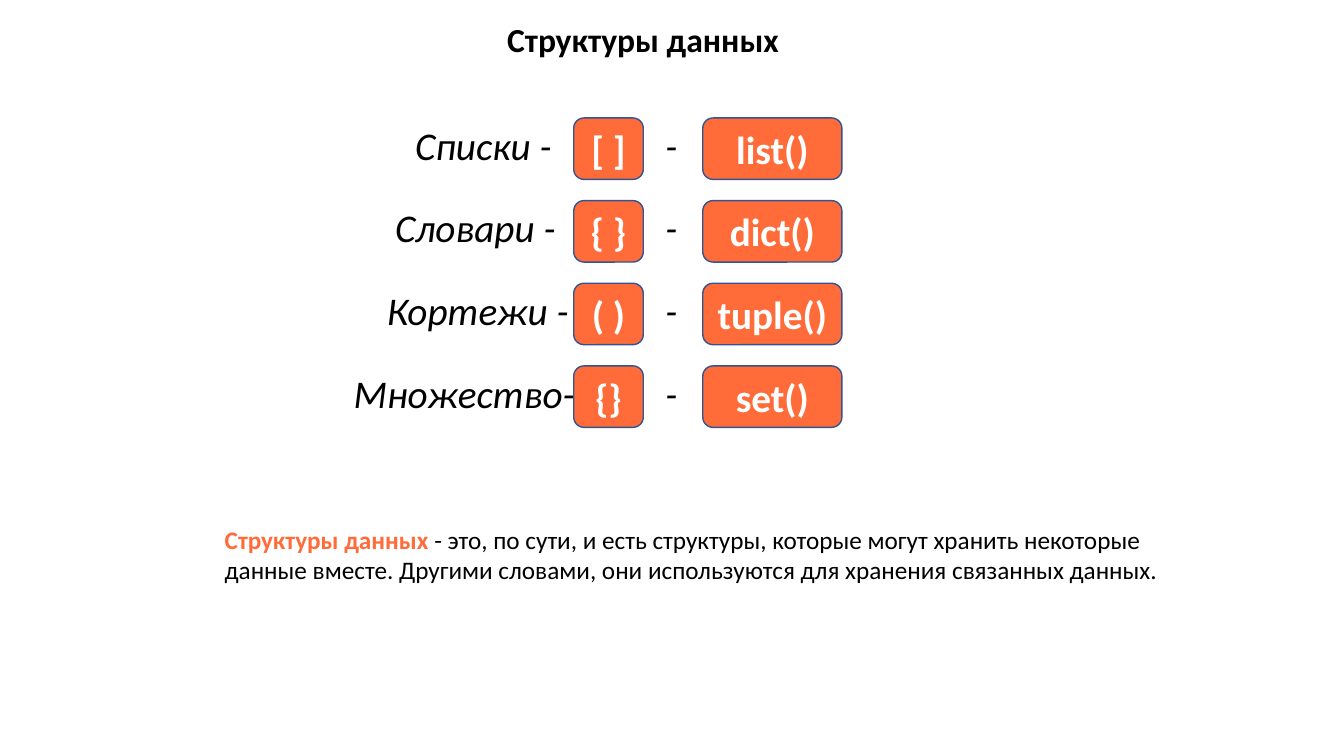
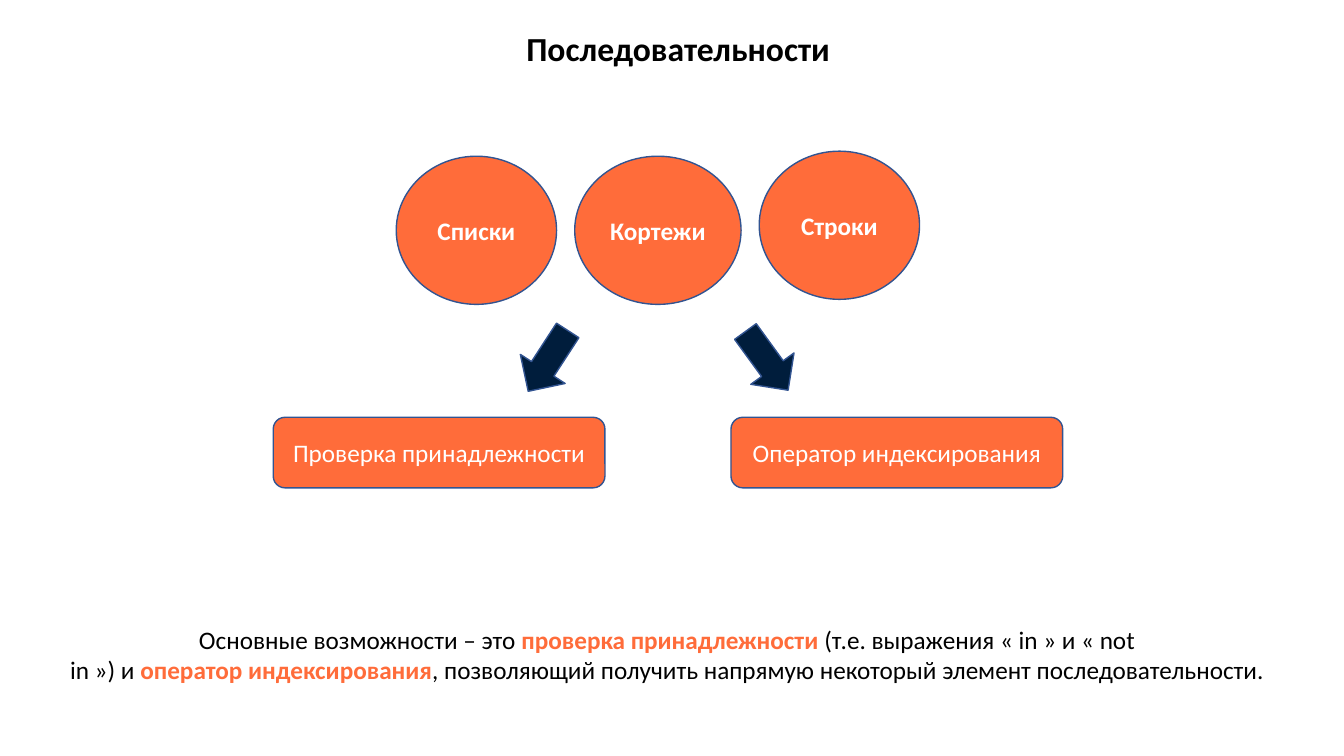
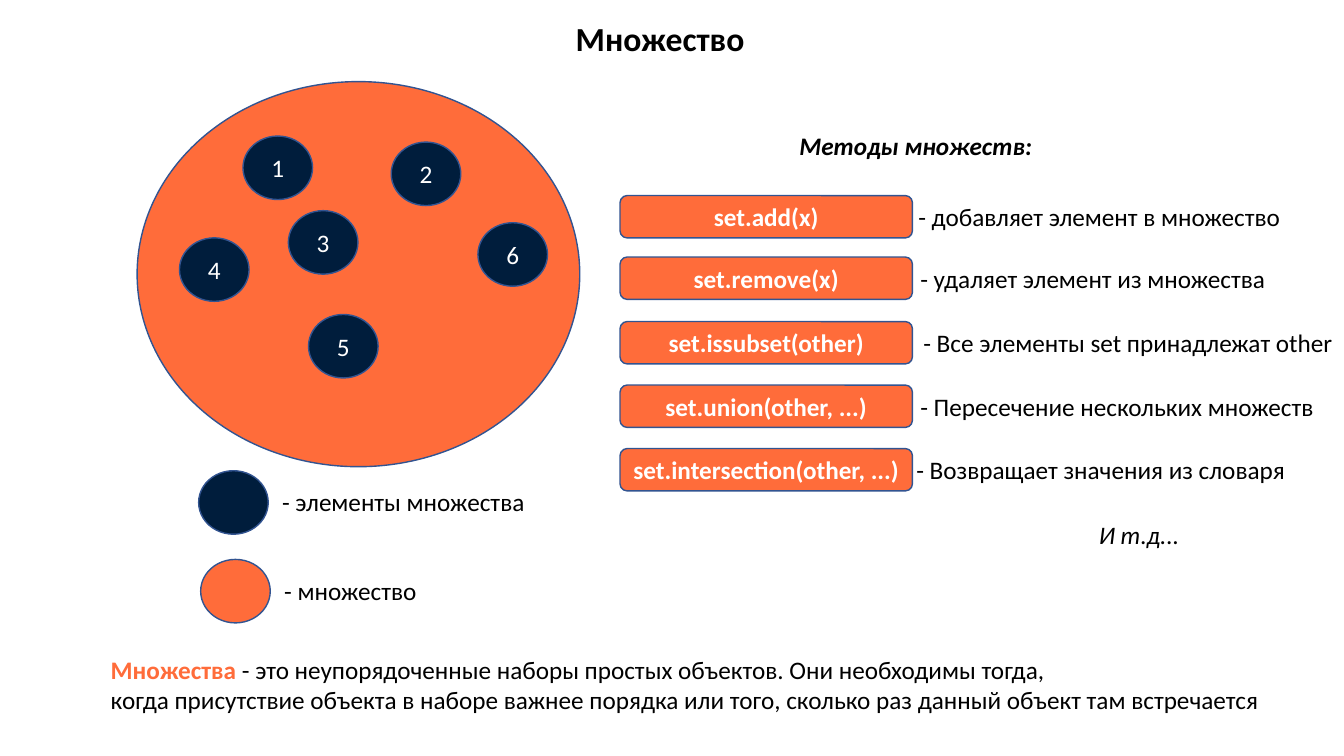
from dataclasses import dataclass

from pptx import Presentation
from pptx.dml.color import RGBColor
from pptx.enum.shapes import MSO_SHAPE as Preset
from pptx.enum.text import MSO_ANCHOR as Anchor, MSO_AUTO_SIZE as AutoSize, PP_ALIGN as Align
from pptx.util import Emu, Pt

EMU_PER_PX = 9144


@dataclass(frozen=True)
class Theme:
    font: str = "Calibri"
    orange: RGBColor = RGBColor(0xFF, 0x6C, 0x3A)
    navy: RGBColor = RGBColor(0x00, 0x1D, 0x3C)
    outline: RGBColor = RGBColor(0x32, 0x54, 0x91)
    ink: RGBColor = RGBColor(0, 0, 0)
    white: RGBColor = RGBColor(0xFF, 0xFF, 0xFF)
    title_size: int = 24
    large_size: int = 28
    body_size: int = 18


THEME = Theme()


def px(value):
    return Emu(value * EMU_PER_PX)


def place(shape, left, top, width, height):
    shape.left, shape.top, shape.width, shape.height = map(px, (left, top, width, height))


def set_font(font, size, color, bold=False, italic=False):
    font.name = THEME.font
    font.size = Pt(size)
    font.color.rgb = color
    font.bold = bold
    font.italic = italic


def add_titled_slide(presentation, text, left, top):
    slide = presentation.slides.add_slide(presentation.slide_layouts[5])
    title = slide.shapes.title
    place(title, left, top, 364, 50)
    frame = title.text_frame
    frame.text = text
    frame.auto_size = AutoSize.NONE
    frame.vertical_anchor = Anchor.TOP
    paragraph = frame.paragraphs[0]
    paragraph.alignment = Align.LEFT
    set_font(paragraph.font, THEME.title_size, THEME.ink, bold=True)
    return slide


def add_text_frame(slide, box):
    frame = slide.shapes.add_textbox(*map(px, box)).text_frame
    frame.word_wrap = True
    return frame


def add_label(slide, text, box, size=THEME.body_size, bold=False, italic=False):
    frame = add_text_frame(slide, box)
    frame.text = text
    set_font(frame.paragraphs[0].font, size, THEME.ink, bold, italic)


def add_definition(slide, box, lines, alignment=Align.LEFT):
    frame = add_text_frame(slide, box)
    for index, line in enumerate(lines):
        paragraph = frame.add_paragraph() if index else frame.paragraphs[0]
        paragraph.alignment = alignment
        for text, is_term in line:
            run = paragraph.add_run()
            run.text = text
            set_font(run.font, THEME.body_size, THEME.orange if is_term else THEME.ink, bold=is_term)


def add_figure(slide, preset, box, text="", fill=THEME.orange, size=THEME.body_size, bold=False):
    shape = slide.shapes.add_shape(preset, *map(px, box))
    shape.shadow.inherit = False
    shape.fill.solid()
    shape.fill.fore_color.rgb = fill
    shape.line.color.rgb = THEME.outline
    shape.line.width = Pt(1)
    if text:
        frame = shape.text_frame
        frame.text = text
        frame.word_wrap = True
        frame.margin_left = frame.margin_right = 0
        frame.vertical_anchor = Anchor.MIDDLE
        paragraph = frame.paragraphs[0]
        paragraph.alignment = Align.CENTER
        set_font(paragraph.font, size, THEME.white, bold)
    return shape


def build_structures(presentation):
    slide = add_titled_slide(presentation, "Структуры данных", 493, 14)
    rows = [
        ("Списки -", 402, "[ ]", "list()"),
        ("Словари -", 382, "{ }", "dict()"),
        ("Кортежи -", 374, "( )", "tuple()"),
        ("Множество-", 341, "{}", "set()"),
    ]
    for index, (name, left, brackets, constructor) in enumerate(rows):
        top = 117 + 82 * index
        add_label(slide, name, (left, top - 2, 243, 57), THEME.large_size, italic=True)
        add_label(slide, "-", (650, top - 2, 36, 57), THEME.large_size, italic=True)
        for box, text in (((569, top, 69, 61), brackets), ((697, top, 138, 61), constructor)):
            add_figure(slide, Preset.ROUNDED_RECTANGLE, box, text, size=THEME.large_size, bold=True)
    add_definition(slide, (213, 515, 985, 71), [[
        ("Структуры данных ", True),
        ("- это, по сути, и есть структуры, которые могут хранить некоторые данные вместе. "
         "Другими словами, они используются для хранения связанных данных.", False),
    ]])


def build_sequences(presentation):
    slide = add_titled_slide(presentation, "Последовательности", 512, 23)
    add_definition(slide, (44, 614, 1235, 71), [
        [("Основные возможности – это ", False),
         ("проверка принадлежности ", True),
         ("(т.е. выражения « in » и « not", False)],
        [("in ») и ", False),
         ("оператор индексирования", True),
         (", позволяющий получить напрямую некоторый элемент последовательности.", False)],
    ], Align.CENTER)
    sequences = [("Cписки", 393, 155, 159), ("Кортежи", 570, 155, 165), ("Строки", 753, 150, 159)]
    for text, left, top, width in sequences:
        add_figure(slide, Preset.OVAL, (left, top, width, 147), text, bold=True)
    features = [("Проверка принадлежности", 271, 517, 33), ("Оператор индексирования", 725, 734, 324)]
    for text, left, arrow_left, rotation in features:
        arrow = add_figure(slide, Preset.DOWN_ARROW, (arrow_left, 322, 53, 72), fill=THEME.navy)
        arrow.rotation = rotation
        add_figure(slide, Preset.ROUNDED_RECTANGLE, (left, 414, 329, 70), text)


def build_set(presentation):
    slide = add_titled_slide(presentation, "Множество", 561, 13)
    add_definition(slide, (100, 644, 1164, 71), [
        [("Множества ", True),
         ("- это неупорядоченные наборы простых объектов. Они необходимы тогда,", False)],
        [("когда присутствие объекта в наборе важнее порядка или того, "
          "сколько раз данный объект там встречается", False)],
    ])
    add_figure(slide, Preset.OVAL, (136, 81, 439, 382))
    elements = [(241, 135), (388, 141), (286, 209), (178, 236), (306, 312), (474, 221)]
    for number, (left, top) in enumerate(elements, 1):
        add_figure(slide, Preset.OVAL, (left, top, 69, 63), str(number), THEME.navy)
    legend = [("- элементы множества", THEME.navy, 197, 467), ("- множество", THEME.orange, 199, 555)]
    for text, fill, left, top in legend:
        add_figure(slide, Preset.OVAL, (left, top, 69, 63), fill=fill)
        add_label(slide, text, (left + 73, top + 11, 287, 40))
    add_label(slide, "Методы множеств:", (783, 124, 300, 40), bold=True, italic=True)
    methods = [
        ("set.add(x)", "- добавляет элемент в множество", 194, 901),
        ("set.remove(x)", "- удаляет элемент из множества", 255, 903),
        ("set.issubset(other)", "- Все элементы set принадлежат other", 319, 906),
        ("set.union(other, ...)", "- Пересечение нескольких множеств", 382, 903),
        ("set.intersection(other, ...)", "- Возвращает значения из словаря", 445, 899),
    ]
    for call, meaning, top, meaning_left in methods:
        add_figure(slide, Preset.ROUNDED_RECTANGLE, (615, top, 290, 42), call, bold=True)
        add_label(slide, meaning, (meaning_left, top + 1, 427, 40))
    add_label(slide, "И т.д...", (1080, 510, 250, 40), italic=True)


def main():
    presentation = Presentation()
    presentation.slide_width = px(1333)
    presentation.slide_height = px(750)
    build_structures(presentation)
    build_sequences(presentation)
    build_set(presentation)
    presentation.save("out.pptx")


if __name__ == "__main__":
    main()
